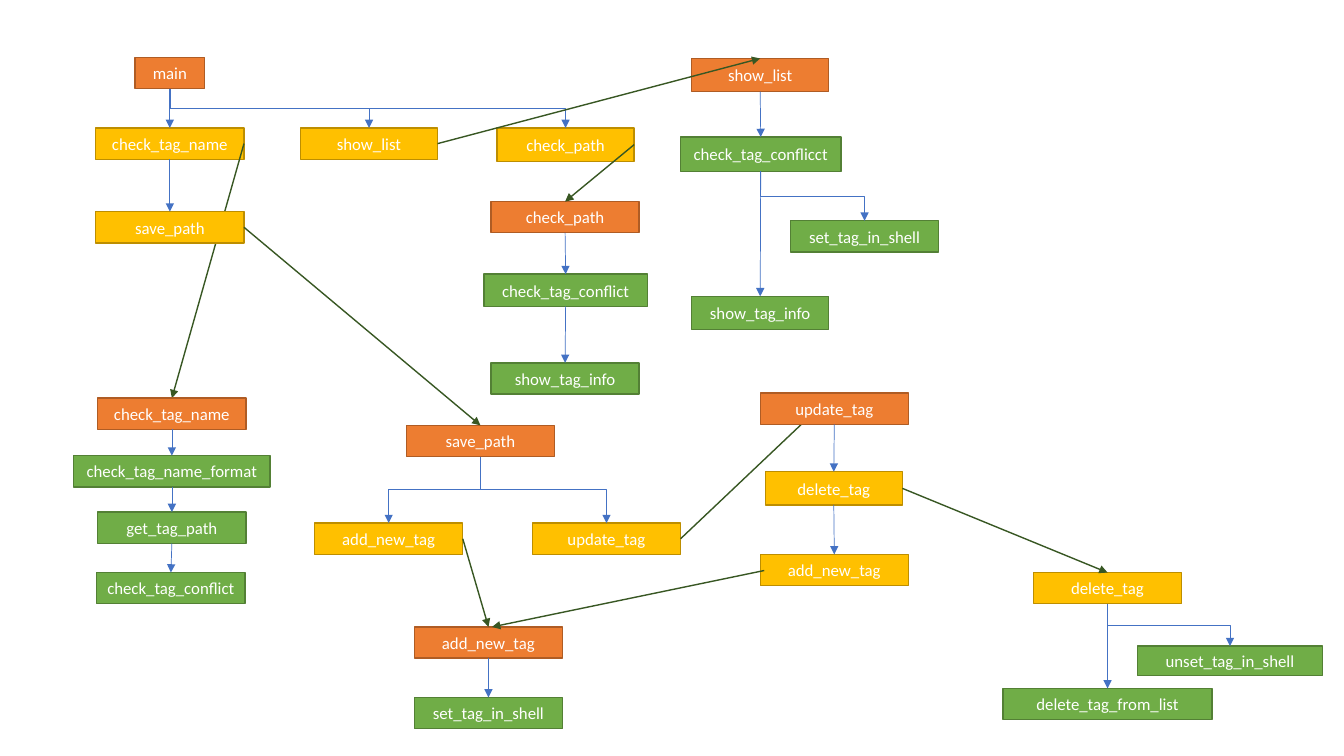
from lxml.etree import SubElement
from pptx import Presentation
from pptx.dml.color import RGBColor
from pptx.enum.shapes import MSO_CONNECTOR, MSO_SHAPE
from pptx.enum.text import MSO_ANCHOR, PP_ALIGN
from pptx.oxml.ns import qn
from pptx.util import Inches, Pt

# Fill and outline of each kind of box
KINDS = {
    "function": ("ED7D31", "AF5C24"),
    "step": ("FFC000", "BD8E00"),
    "helper": ("70AD47", "538035"),
}
FLOW = ("4472C4", 0.5)
JUMP = ("385723", 1)
TOP, LEFT, BOTTOM, RIGHT = range(4)

# Key: label, kind, left, top, width, height
BOXES = {
    "main": ("main", "function", 1.34, 0.57, 0.69, 0.31),
    "main name": ("check_tag_name", "step", 0.95, 1.27, 1.47, 0.31),
    "main list": ("show_list", "step", 2.98, 1.27, 1.36, 0.31),
    "main path": ("check_path", "step", 4.93, 1.27, 1.36, 0.33),
    "main save": ("save_path", "step", 0.95, 2.1, 1.47, 0.31),
    "name": ("check_tag_name", "function", 0.97, 3.95, 1.47, 0.31),
    "name format": ("check_tag_name_format", "helper", 0.73, 4.52, 1.95, 0.31),
    "name path": ("get_tag_path", "helper", 0.97, 5.08, 1.47, 0.31),
    "name conflict": ("check_tag_conflict", "helper", 0.96, 5.68, 1.47, 0.31),
    "list": ("show_list", "function", 6.86, 0.58, 1.36, 0.33),
    "list conflict": ("check_tag_conflicct", "helper", 6.75, 1.36, 1.59, 0.34),
    "list set": ("set_tag_in_shell", "helper", 7.84, 2.19, 1.47, 0.31),
    "list info": ("show_tag_info", "helper", 6.86, 2.94, 1.36, 0.33),
    "path": ("check_path", "function", 4.87, 2, 1.47, 0.31),
    "path conflict": ("check_tag_conflict", "helper", 4.8, 2.72, 1.62, 0.32),
    "path info": ("show_tag_info", "helper", 4.87, 3.6, 1.47, 0.31),
    "save": ("save_path", "function", 4.03, 4.22, 1.47, 0.31),
    "save add": ("add_new_tag", "step", 3.12, 5.19, 1.47, 0.31),
    "save update": ("update_tag", "step", 5.28, 5.19, 1.47, 0.31),
    "update": ("update_tag", "function", 7.54, 3.9, 1.47, 0.31),
    "update delete": ("delete_tag", "step", 7.59, 4.68, 1.36, 0.33),
    "update add": ("add_new_tag", "step", 7.54, 5.5, 1.47, 0.31),
    "add": ("add_new_tag", "function", 4.11, 6.22, 1.47, 0.31),
    "add set": ("set_tag_in_shell", "helper", 4.11, 6.92, 1.47, 0.31),
    "delete": ("delete_tag", "step", 10.25, 5.68, 1.47, 0.31),
    "delete unset": ("unset_tag_in_shell", "helper", 11.28, 6.41, 1.84, 0.29),
    "delete list": ("delete_tag_from_list", "helper", 9.95, 6.83, 2.07, 0.31),
}

# Downward flow from each box to the next ones
FLOWS = {
    "main": ["main name", "main list", "main path"],
    "main name": ["main save"],
    "name": ["name format"],
    "name format": ["name path"],
    "name path": ["name conflict"],
    "list": ["list conflict"],
    "list conflict": ["list info", "list set"],
    "path": ["path conflict"],
    "path conflict": ["path info"],
    "save": ["save add", "save update"],
    "update": ["update delete"],
    "update delete": ["update add"],
    "add": ["add set"],
    "delete": ["delete unset", "delete list"],
}

# Jumps from a step to its function: start, end, box that covers the line
JUMPS = [
    ("main name", "name", "main save"),
    ("main list", "list", None),
    ("main path", "path", None),
    ("main save", "save", None),
    ("save add", "add", None),
    ("save update", "update", "update"),
    ("update delete", "delete", None),
]


def color(value):
    return RGBColor.from_string(value)


def apply(target, values):
    for name, value in values.items():
        setattr(target, name, value)


def add_box(slide, label, kind, left, top, width, height):
    shape = slide.shapes.add_shape(
        MSO_SHAPE.RECTANGLE, *map(Inches, (left, top, width, height)))
    fill, outline = KINDS[kind]
    shape.shadow.inherit = False
    shape.fill.solid()
    shape.fill.fore_color.rgb = color(fill)
    shape.line.color.rgb = color(outline)
    shape.line.width = Pt(1)
    frame = shape.text_frame
    apply(frame, {"word_wrap": True, "vertical_anchor": MSO_ANCHOR.MIDDLE,
                  "margin_left": Inches(0.05), "margin_right": Inches(0.05)})
    paragraph = frame.paragraphs[0]
    paragraph.alignment = PP_ALIGN.CENTER
    run = paragraph.add_run()
    run.text = label
    apply(run.font, {"name": "Calibri", "size": Pt(12)})
    run.font.color.rgb = color("FFFFFF")
    return shape


def add_arrow(slide, style, start=(0, 0), end=(0, 0), kind=MSO_CONNECTOR.STRAIGHT):
    connector = slide.shapes.add_connector(kind, *map(Inches, (*start, *end)))
    line_color, width = style
    connector.line.color.rgb = color(line_color)
    connector.line.width = Pt(width)
    properties = connector._element.spPr
    SubElement(properties.find(qn("a:ln")), qn("a:tailEnd"), type="triangle")
    SubElement(properties, qn("a:effectLst"))
    return connector


def join(slide, style, start, start_side, end, end_side, kind=MSO_CONNECTOR.STRAIGHT):
    connector = add_arrow(slide, style, kind=kind)
    connector.begin_connect(start, start_side)
    connector.end_connect(end, end_side)
    return connector


def add_flow(slide, start, end):
    start_x = start.left + start.width // 2
    end_x = end.left + end.width // 2
    across = end_x - start_x
    if abs(across) < Inches(0.1):
        join(slide, FLOW, start, BOTTOM, end, TOP)
        return
    # Turn the elbow a quarter so that it leaves and arrives vertically
    connector = join(slide, FLOW, start, BOTTOM, end, TOP, MSO_CONNECTOR.ELBOW)
    start_y = start.top + start.height
    down = end.top - start_y
    apply(connector, {
        "left": (start_x + end_x - down) // 2,
        "top": (start_y + end.top - abs(across)) // 2,
        "width": down,
        "height": abs(across),
    })
    transform = connector._element.spPr.find(qn("a:xfrm"))
    transform.set("rot", str((270 if across > 0 else 90) * 60000))
    transform.set("flipH", "1" if across > 0 else "0")
    transform.set("flipV", "0")


def main():
    presentation = Presentation()
    apply(presentation, {"slide_width": Inches(13.33), "slide_height": Inches(7.5)})
    slide = presentation.slides.add_slide(presentation.slide_layouts[6])

    # Boxes
    boxes = {key: add_box(slide, *values) for key, values in BOXES.items()}

    # Flow inside each function
    for start, ends in FLOWS.items():
        for end in ends:
            add_flow(slide, boxes[start], boxes[end])

    # Jumps between functions
    for start, end, cover in JUMPS:
        connector = join(slide, JUMP, boxes[start], RIGHT, boxes[end], TOP)
        if cover:
            boxes[cover]._element.addprevious(connector._element)
    add_arrow(slide, JUMP, (7.58, 5.66), (4.88, 6.22))

    presentation.save("out.pptx")


if __name__ == "__main__":
    main()
